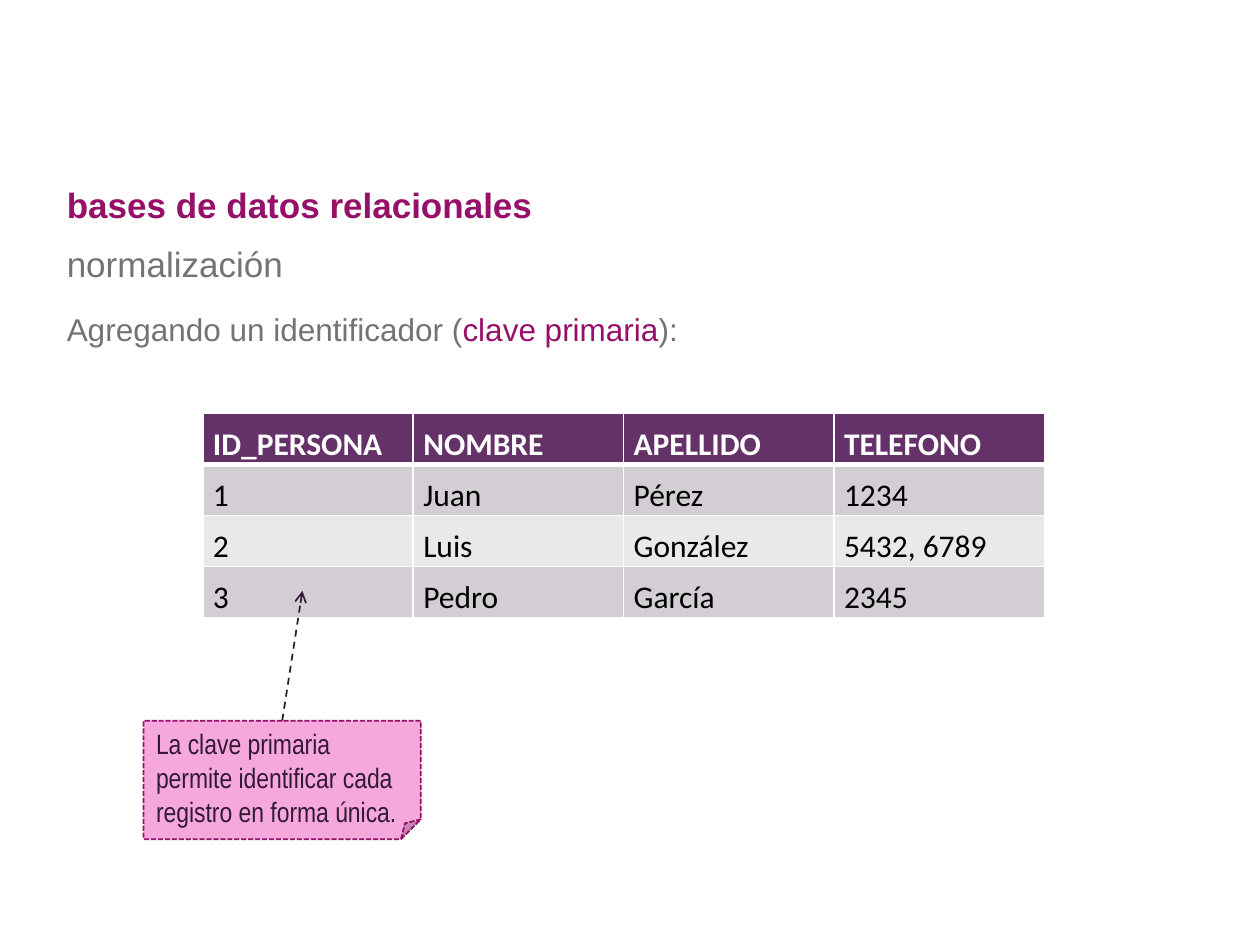
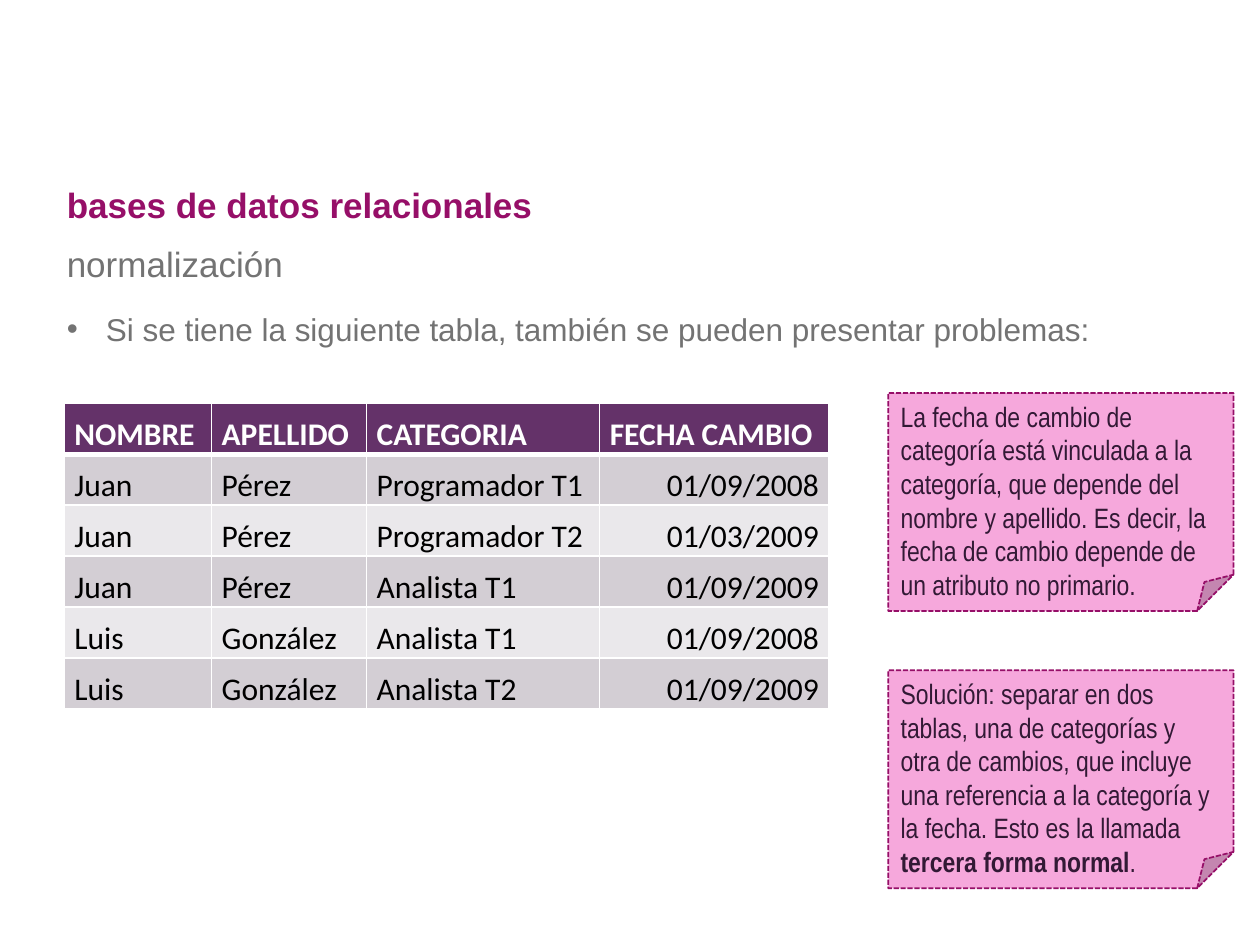
from lxml.etree import SubElement
from pptx import Presentation
from pptx.dml.color import RGBColor
from pptx.enum.dml import MSO_LINE
from pptx.enum.shapes import MSO_CONNECTOR, MSO_SHAPE
from pptx.enum.text import MSO_ANCHOR, MSO_AUTO_SIZE, PP_ALIGN
from pptx.oxml.ns import qn
from pptx.util import Inches, Pt

COLORS = {
    "magenta": "960F68", "gray": "737373", "pink": "F6A8DC", "ink": "321935",
    "header": "643269", "odd": "D3CED4", "even": "EAE8EB",
    "white": "FFFFFF", "black": "000000",
}
TITLE = "bases de datos relacionales"
SUBTITLE = "normalización"

# Runs are (text, changes to the base format); boxes are left, top, width, height.
SLIDES = [
    {
        "lead": [("Agregando un identificador (", {}),
                 ("clave primaria", {"color": "magenta"}), ("):", {})],
        "bullet": False,
        "table": {
            "at": (1.61, 3.28), "cols": [1.67] * 4, "right": (),
            "rows": [("ID_PERSONA", "NOMBRE", "APELLIDO", "TELEFONO"),
                     ("1", "Juan", "Pérez", "1234"),
                     ("2", "Luis", "González", "5432, 6789"),
                     ("3", "Pedro", "García", "2345")],
        },
        "notes": [
            {"box": (1.14, 5.72, 2.2, 0.94), "arrow_to": (2.4, 4.69),
             "runs": [("La clave primaria permite identificar cada registro "
                       "en forma única.", {})]},
        ],
    },
    {
        "lead": [("Si se tiene la siguiente tabla, también se pueden "
                  "presentar problemas:", {})],
        "bullet": True,
        "table": {
            "at": (0.51, 3.2), "cols": [1.17, 1.23, 1.85, 1.82], "right": (3,),
            "rows": [("NOMBRE", "APELLIDO", "CATEGORIA", "FECHA CAMBIO"),
                     ("Juan", "Pérez", "Programador T1", "01/09/2008"),
                     ("Juan", "Pérez", "Programador T2", "01/03/2009"),
                     ("Juan", "Pérez", "Analista T1", "01/09/2009"),
                     ("Luis", "González", "Analista T1", "01/09/2008"),
                     ("Luis", "González", "Analista T2", "01/09/2009")],
        },
        "notes": [
            {"box": (7.05, 3.12, 2.74, 1.73),
             "runs": [("La fecha de cambio de categoría está vinculada a la "
                       "categoría, que depende del nombre y apellido. Es decir, la "
                       "fecha de cambio depende de un atributo no primario.", {})]},
            {"box": (7.05, 5.32, 2.74, 1.73),
             "runs": [("Solución: separar en dos tablas, una de categorías y otra "
                       "de cambios, que incluye una referencia a la categoría y la "
                       "fecha. Esto es la llamada ", {}),
                      ("tercera forma normal", {"bold": True}), (".", {})]},
        ],
    },
]

BOXES = {"title": (0.43, 1.39, 9.06, 0.47), "subtitle": (0.43, 1.86, 9.06, 0.47),
         "lead": (0.43, 2.41, 9.17, 4.57)}
STYLES = {
    "title": {"name": "Arial", "size": Pt(20), "bold": True, "color": "magenta"},
    "subtitle": {"name": "Arial", "size": Pt(20), "bold": False, "color": "gray"},
    "lead": {"name": "Arial", "size": Pt(18), "bold": False, "color": "gray"},
    "header": {"name": "Calibri", "size": Pt(18), "bold": True, "color": "white"},
    "cell": {"name": "Calibri", "size": Pt(18), "bold": False, "color": "black"},
    "note": {"name": "Arial Narrow", "size": Pt(16), "bold": False, "color": "ink"},
}
CELL_FORMAT = {"margin_left": Inches(0.08), "margin_right": Inches(0.08),
               "margin_top": Inches(0.01), "margin_bottom": 0,
               "vertical_anchor": MSO_ANCHOR.BOTTOM}
ROW_HEIGHT = 0.405
BULLET_INDENT = 0.31


def rgb(name):
    return RGBColor.from_string(COLORS[name])


def inches(values):
    return [Inches(v) for v in values]


def write(p, runs, style):
    for text, changes in runs:
        r = p.add_run()
        r.text = text
        for key, value in {**STYLES[style], **changes}.items():
            if key == "color":
                r.font.color.rgb = rgb(value)
            else:
                setattr(r.font, key, value)


def fill_placeholder(sp, role, runs, anchor, bullet=False):
    sp.left, sp.top, sp.width, sp.height = inches(BOXES[role])
    tf = sp.text_frame
    tf.auto_size = MSO_AUTO_SIZE.NONE
    tf.word_wrap = True
    tf.vertical_anchor = anchor
    p = tf.paragraphs[0]
    p.alignment = PP_ALIGN.LEFT
    p.space_before = Pt(0)
    indent = Inches(BULLET_INDENT) if bullet else 0
    pPr = p._p.get_or_add_pPr()
    pPr.set("marL", str(indent))
    pPr.set("indent", str(-indent))
    if bullet:
        SubElement(pPr, qn("a:buChar"), char="•")
    else:
        SubElement(pPr, qn("a:buNone"))
    write(p, runs, role)


def set_borders(cell, row):
    """White 1 pt lines, with a 3 pt line between header and body."""
    widths = {"L": 1, "R": 1, "T": 3 if row == 1 else 1, "B": 3 if row == 0 else 1}
    tcPr = cell._tc.get_or_add_tcPr()
    for side, width in widths.items():
        ln = SubElement(tcPr, qn(f"a:ln{side}"), w=str(Pt(width)))
        solid = SubElement(ln, qn("a:solidFill"))
        SubElement(solid, qn("a:srgbClr"), val=COLORS["white"])


def add_data_table(s, at, cols, rows, right):
    size = (sum(cols), ROW_HEIGHT * len(rows))
    table = s.shapes.add_table(len(rows), len(cols), *inches(at + size)).table
    for column, width in zip(table.columns, cols):
        column.width = Inches(width)
    for i, row in enumerate(rows):
        for j, text in enumerate(row):
            cell = table.cell(i, j)
            for key, value in CELL_FORMAT.items():
                setattr(cell, key, value)
            set_borders(cell, i)
            cell.fill.solid()
            cell.fill.fore_color.rgb = rgb(
                "header" if i == 0 else "odd" if i % 2 else "even")
            p = cell.text_frame.paragraphs[0]
            if i and j in right:
                p.alignment = PP_ALIGN.RIGHT
            write(p, [(text, {})], "cell" if i else "header")


def set_line(sp, color, dash):
    sp.line.color.rgb = rgb(color)
    sp.line.width = Pt(1)
    sp.line.dash_style = dash


def add_note(s, box, runs, arrow_to=None):
    note = s.shapes.add_shape(MSO_SHAPE.FOLDED_CORNER, *inches(box))
    note.shadow.inherit = False
    note.fill.solid()
    note.fill.fore_color.rgb = rgb("pink")
    set_line(note, "magenta", MSO_LINE.SQUARE_DOT)
    tf = note.text_frame
    tf.word_wrap = True
    tf.vertical_anchor = MSO_ANCHOR.TOP
    p = tf.paragraphs[0]
    p.alignment = PP_ALIGN.LEFT
    write(p, runs, "note")
    if arrow_to:
        left, top, width, _ = box
        arrow = s.shapes.add_connector(
            MSO_CONNECTOR.STRAIGHT, *inches((left + width / 2, top) + arrow_to))
        arrow.begin_connect(note, 0)
        set_line(arrow, "ink", MSO_LINE.DASH)
        SubElement(arrow.line._get_or_add_ln(), qn("a:tailEnd"), type="arrow")
        SubElement(arrow._element.spPr, qn("a:effectLst"))


def main():
    prs = Presentation()
    prs.slide_width, prs.slide_height = inches((10, 7.5))
    two_content = prs.slide_layouts[3]
    for content in SLIDES:
        s = prs.slides.add_slide(two_content)
        title, subtitle, lead = s.placeholders
        fill_placeholder(title, "title", [(TITLE, {})], MSO_ANCHOR.MIDDLE)
        fill_placeholder(subtitle, "subtitle", [(SUBTITLE, {})], MSO_ANCHOR.MIDDLE)
        fill_placeholder(lead, "lead", content["lead"], MSO_ANCHOR.TOP,
                         content["bullet"])
        add_data_table(s, **content["table"])
        for note in content["notes"]:
            add_note(s, **note)
    prs.save("out.pptx")


if __name__ == "__main__":
    main()
